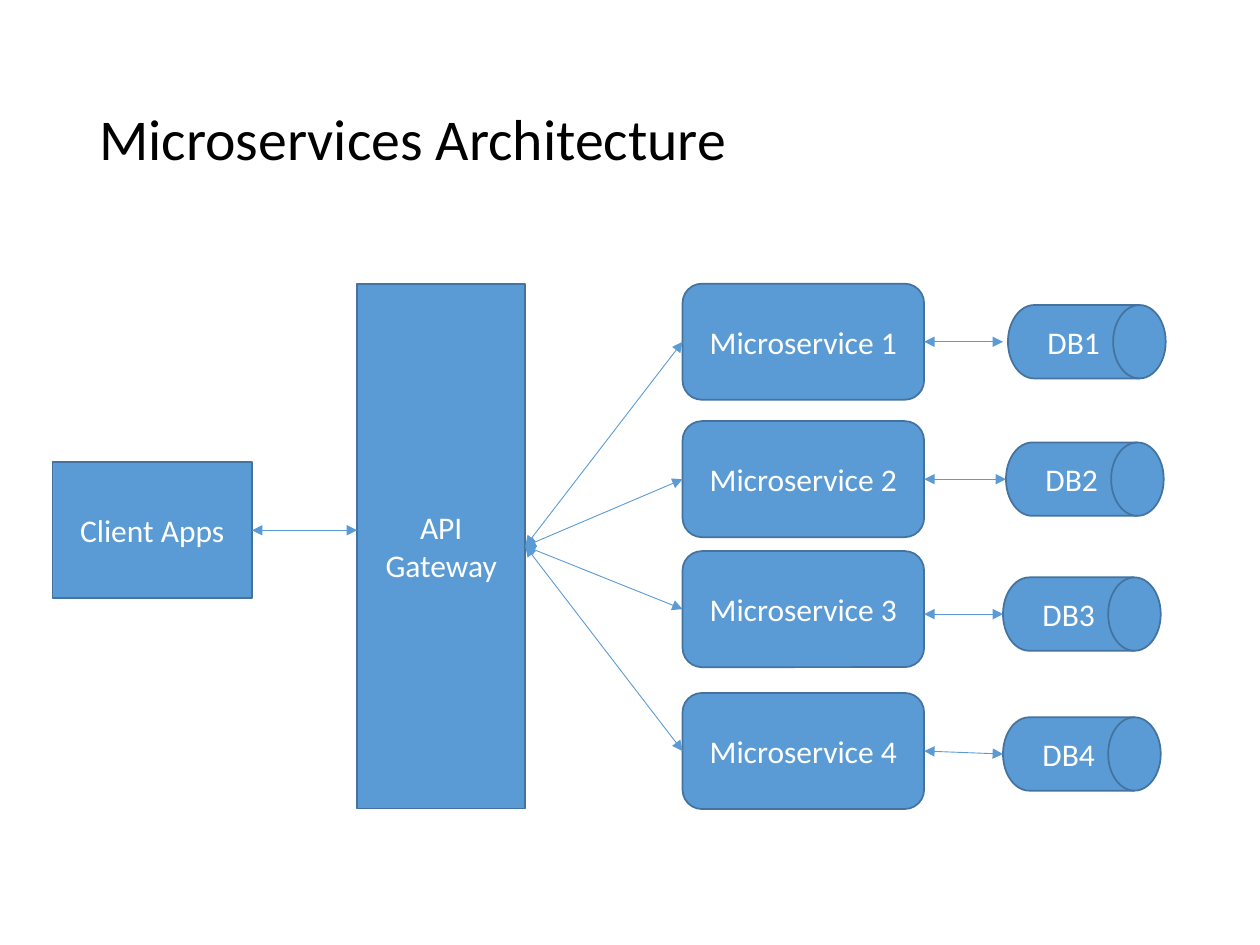
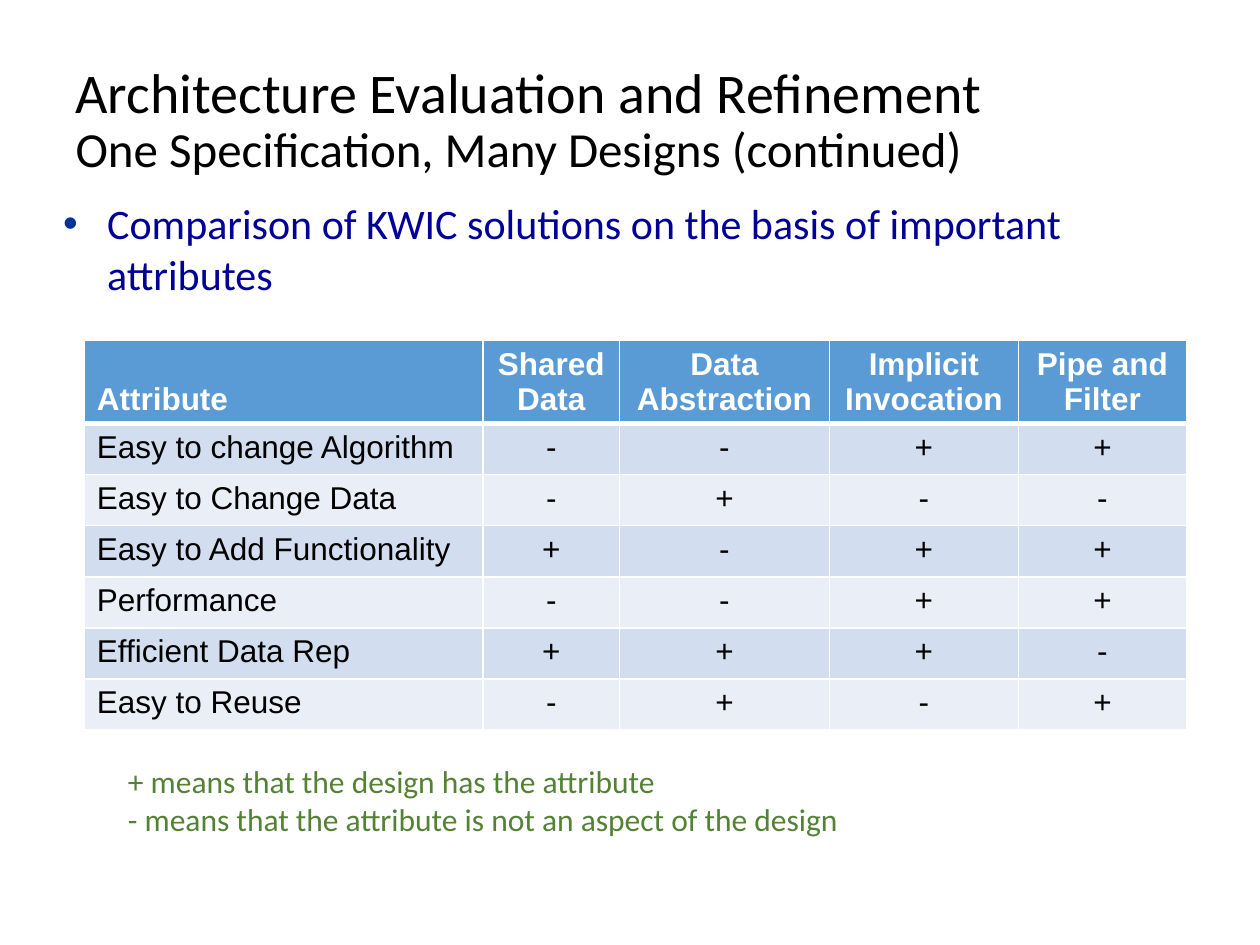
import copy

import lxml.etree
import pptx
import pptx.dml.color
import pptx.enum.shapes
import pptx.enum.text
import pptx.oxml.ns
import pptx.util

Cm = pptx.util.Cm
Pt = pptx.util.Pt
RGBColor = pptx.dml.color.RGBColor
SHAPE = pptx.enum.shapes.MSO_SHAPE
ALIGN = pptx.enum.text.PP_ALIGN
ANCHOR = pptx.enum.text.MSO_ANCHOR

# Colours
BLACK = RGBColor(0x00, 0x00, 0x00)
WHITE = RGBColor(0xFF, 0xFF, 0xFF)
BLUE = RGBColor(0x5B, 0x9B, 0xD5)
OUTLINE = RGBColor(0x43, 0x73, 0x9E)
NAVY = RGBColor(0x00, 0x00, 0x99)
BULLET = RGBColor(0x00, 0x33, 0x99)
GREEN = RGBColor(0x54, 0x82, 0x35)
ROW_TINTS = (RGBColor(0xD2, 0xDE, 0xEF), RGBColor(0xEA, 0xEF, 0xF7))

# Layouts of the default template
TITLE_AND_BODY, TITLE_ONLY = 1, 5


def add_xml(parent, tag, **attributes):
    """Append one DrawingML element and return it."""
    return lxml.etree.SubElement(parent, pptx.oxml.ns.qn(tag), attributes)


def write(frame, text, size=18, color=BLACK, font="Calibri", bold=False,
          align=ALIGN.LEFT, spacing=1.0, same_paragraph=False):
    """Write each line as a paragraph, or join the text on after a line break."""
    for number, line in enumerate(text.split("\n")):
        if same_paragraph:
            paragraph = frame.paragraphs[-1]
            last_run = paragraph.runs[-1]
            paragraph.add_line_break()
            paragraph._p[-1].append(copy.deepcopy(last_run._r.rPr))
        else:
            paragraph = frame.add_paragraph() if number else frame.paragraphs[0]
        paragraph.alignment = align
        paragraph.line_spacing = spacing
        paragraph.space_before = Pt(0)
        run = paragraph.add_run()
        run.text = line
        run.font.size = Pt(size)
        run.font.name = font
        run.font.bold = bold
        run.font.color.rgb = color


class Deck:
    """Holds the presentation, its style and the current slide."""

    def __init__(self):
        self.presentation = pptx.Presentation()
        self.presentation.slide_width = Cm(25.4)
        self.presentation.slide_height = Cm(19.05)
        self.slide = None

    def new_slide(self, layout):
        self.slide = self.presentation.slides.add_slide(
            self.presentation.slide_layouts[layout])

    def place(self, holder, at):
        holder.left, holder.top, holder.width, holder.height = map(Cm, at)
        frame = holder.text_frame
        frame.word_wrap = True
        frame.auto_size = pptx.enum.text.MSO_AUTO_SIZE.NONE
        return frame

    def title(self, text, at, size, subtitle=None):
        frame = self.place(self.slide.shapes.title, at)
        frame.vertical_anchor = ANCHOR.MIDDLE
        write(frame, text, size=size, spacing=0.9)
        if subtitle:
            write(frame, subtitle, size=28, spacing=0.9, same_paragraph=True)

    def bullet(self, text, at):
        frame = self.place(self.slide.placeholders[1], at)
        frame.margin_left = frame.margin_right = 0
        frame.margin_top = frame.margin_bottom = 0
        properties = frame.paragraphs[0]._p.get_or_add_pPr()
        indent = Cm(0.89)
        properties.set("marL", str(indent))
        properties.set("indent", str(-indent))
        add_xml(add_xml(properties, "a:buClr"), "a:srgbClr", val=str(BULLET))
        add_xml(properties, "a:buFont", typeface="Arial")
        add_xml(properties, "a:buChar", char="•")
        write(frame, text, size=24, color=NAVY)

    def box(self, kind, text, at):
        shape = self.slide.shapes.add_shape(kind, *map(Cm, at))
        shape.shadow.inherit = False
        shape.fill.solid()
        shape.fill.fore_color.rgb = BLUE
        shape.line.color.rgb = OUTLINE
        shape.line.width = Pt(1)
        shape.text_frame.word_wrap = True
        shape.text_frame.vertical_anchor = ANCHOR.MIDDLE
        write(shape.text_frame, text, color=WHITE, align=ALIGN.CENTER)

    def two_way_arrow(self, start, end):
        arrow = self.slide.shapes.add_connector(
            pptx.enum.shapes.MSO_CONNECTOR.STRAIGHT, *map(Cm, start + end))
        arrow.line.color.rgb = BLUE
        arrow.line.width = Pt(0.5)
        line = arrow.line._get_or_add_ln()
        add_xml(line, "a:headEnd", type="triangle")
        add_xml(line, "a:tailEnd", type="triangle")
        add_xml(arrow._element.spPr, "a:effectLst")

    def table(self, rows, at, widths, row_height):
        frame = self.slide.shapes.add_table(
            len(rows), len(widths), Cm(at[0]), Cm(at[1]),
            Cm(sum(widths)), Cm(row_height * len(rows)))
        table = frame.table
        for column, width in zip(table.columns, widths):
            column.width = Cm(width)
        for r, row in enumerate(rows):
            table.rows[r].height = Cm(row_height)
            for c, text in enumerate(row):
                self.cell(table.cell(r, c), text, r, c)

    def cell(self, cell, text, row, column):
        header = row == 0
        # The thick rule lies between the header and the first row
        weights = {"L": 1, "R": 1, "T": 3 if row == 1 else 1,
                   "B": 3 if header else 1}
        properties = cell._tc.get_or_add_tcPr()
        for side, weight in weights.items():
            border = add_xml(properties, "a:ln" + side, w=str(Pt(weight)))
            add_xml(add_xml(border, "a:solidFill"), "a:srgbClr", val=str(WHITE))
        cell.fill.solid()
        cell.fill.fore_color.rgb = BLUE if header else ROW_TINTS[(row - 1) % 2]
        cell.vertical_anchor = ANCHOR.BOTTOM if header else ANCHOR.TOP
        write(cell.text_frame, text, font="Arial", bold=header,
              color=WHITE if header else BLACK,
              align=ALIGN.CENTER if column else ALIGN.LEFT)

    def note(self, text, at):
        box = self.slide.shapes.add_textbox(*map(Cm, at))
        box.text_frame.word_wrap = True
        write(box.text_frame, text, color=GREEN)


def microservices_slide(deck):
    deck.new_slide(TITLE_ONLY)
    deck.title("Microservices Architecture", (1.75, 1.02, 21.9, 3.68), 33)

    # Client and gateway
    deck.box(SHAPE.RECTANGLE, "Client Apps", (1.06, 9.31, 4.02, 2.75))
    deck.box(SHAPE.RECTANGLE, "API Gateway", (7.2, 5.72, 3.39, 10.58))
    deck.two_way_arrow((5.08, 10.69), (7.2, 10.69))

    # Services, each with its database
    gateway_exit = (10.59, 11.01)
    service_left, service_width, service_height = 13.76, 4.87, 2.34
    database_width, database_height = 3.18, 1.48
    # service top, database left, database top, link start, link end
    rows = (
        (5.72, 20.32, 6.15, 6.89, (20.22, 6.89)),
        (8.49, 20.28, 8.92, 9.66, (20.28, 9.66)),
        (11.11, 20.22, 11.64, 12.38, (20.22, 12.38)),
        (13.97, 20.22, 14.46, 15.14, (20.22, 15.2)),
    )
    for number, (service_top, database_left, database_top,
                 link_y, link_end) in enumerate(rows, 1):
        deck.box(SHAPE.ROUNDED_RECTANGLE, f"Microservice {number}",
                 (service_left, service_top, service_width, service_height))
        deck.box(SHAPE.FLOWCHART_DIRECT_ACCESS_STORAGE, f"DB{number}",
                 (database_left, database_top, database_width, database_height))
        deck.two_way_arrow(
            gateway_exit, (service_left, service_top + service_height / 2))
        deck.two_way_arrow((service_left + service_width, link_y), link_end)


def evaluation_slide(deck):
    deck.new_slide(TITLE_AND_BODY)
    deck.title("Architecture Evaluation and Refinement",
               (1.27, 0.89, 24.13, 3.12), 32,
               subtitle="One Specification, Many Designs (continued)")
    deck.bullet("Comparison of KWIC solutions on the basis of important attributes",
                (1.27, 3.99, 22.81, 12.95))

    # Comparison of designs, one mark per design
    designs = ("Attribute", "Shared\nData", "Data\nAbstraction",
               "Implicit Invocation", "Pipe and\nFilter")
    marks = {
        "Easy to change Algorithm": "--++",
        "Easy to Change Data": "-+--",
        "Easy to Add Functionality": "+-++",
        "Performance": "--++",
        "Efficient Data Rep": "+++-",
        "Easy to Reuse": "-+-+",
    }
    rows = [designs] + [(attribute, *signs) for attribute, signs in marks.items()]
    deck.table(rows, (1.7, 6.86), (8.04, 2.75, 4.23, 3.81, 3.39), 1.03)

    # Key to the marks
    deck.note("+ means that the design has the attribute\n"
              "- means that the attribute is not an aspect of the design",
              (2.33, 15.24, 19.9, 1.8))


def main():
    deck = Deck()
    microservices_slide(deck)
    evaluation_slide(deck)
    deck.presentation.save("out.pptx")


if __name__ == "__main__":
    main()
